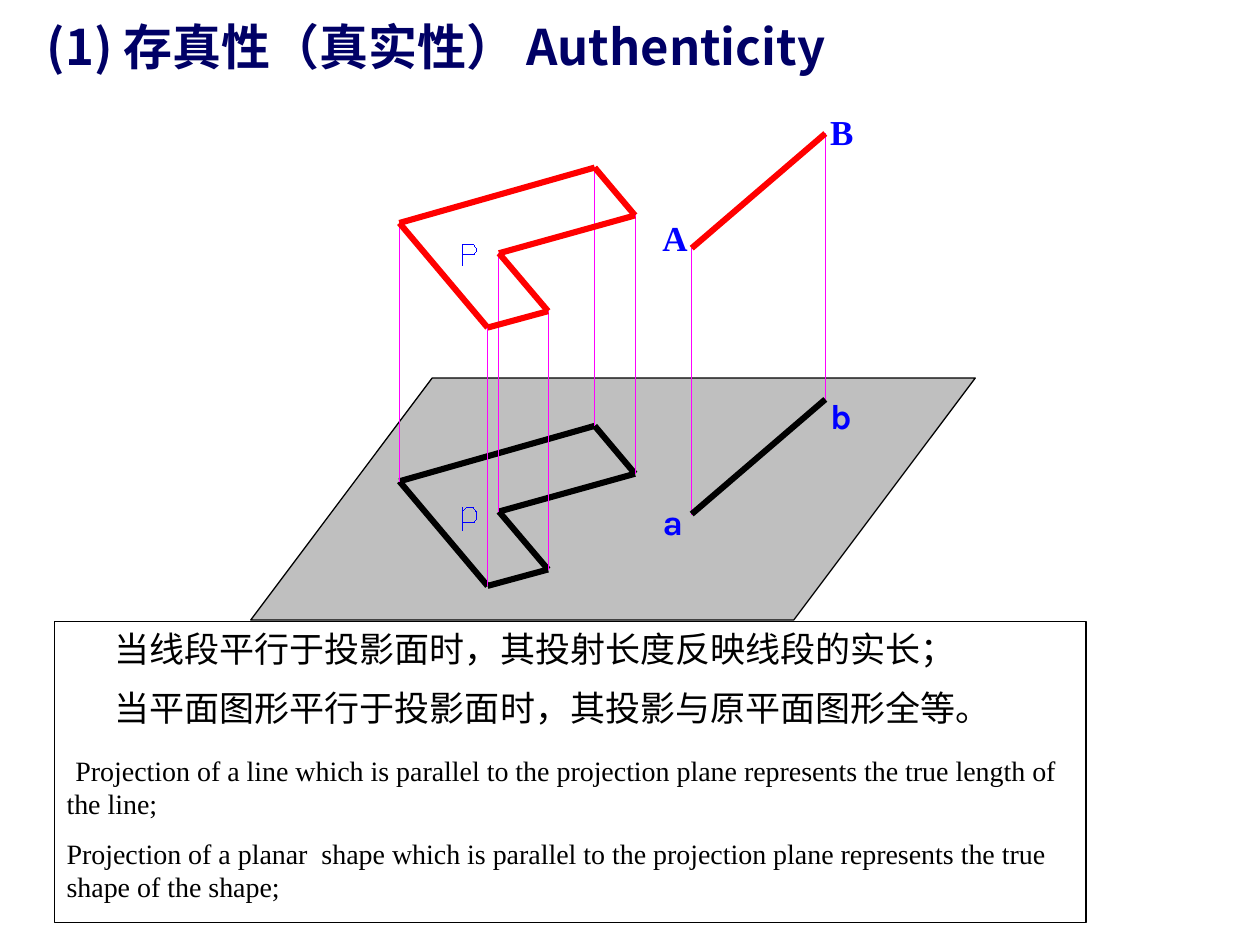
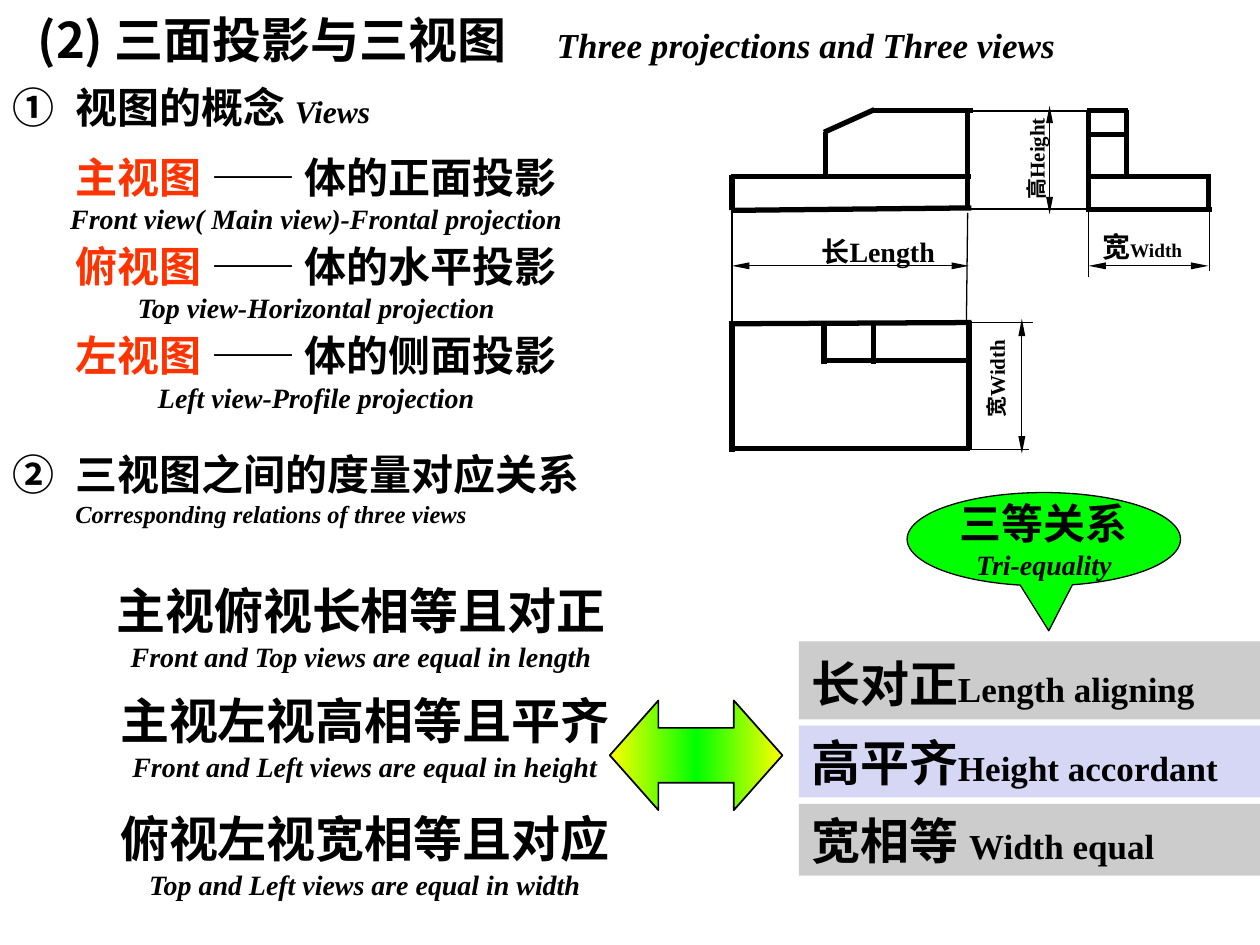
from copy import deepcopy
from typing import NamedTuple

from lxml.etree import SubElement as Sub
from pptx import Presentation
from pptx.dml.color import RGBColor
from pptx.enum.shapes import MSO_CONNECTOR as Conn, MSO_SHAPE as Kind
from pptx.enum.text import MSO_ANCHOR as Anchor, MSO_AUTO_SIZE as Fit, PP_ALIGN as Align
from pptx.oxml.ns import qn
from pptx.util import Inches, Pt

# Shared look
TIMES, NOTO, KARLA = "Times New Roman", "Noto Sans CJK SC", "Karla"
BLACK, WHITE, NAVY, BLUE = "000000", "FFFFFF", "000066", "0000FF"
RED, PINK, GREEN, YELLOW = "FF0000", "FF00FF", "00FF00", "FFFF00"
ORANGE, GREY, SILVER, LILAC = "FF3300", "BFBFBF", "CCCCCC", "D6D6F5"
BOLD, THIN, HAIR = 3, 0.75, 0
EDGE = 3.5


class Run(NamedTuple):
    text: str
    size: float
    face: str = TIMES
    color: str = BLACK
    bold: bool = True
    slant: bool = False


class Para(NamedTuple):
    runs: list[Run]
    center: bool = False
    before: float = 0
    indent: float = 0
    number: int = 0
    tab: float = 0
    leading: float = 0


class Box(NamedTuple):
    left: float
    top: float
    width: float
    height: float


class Seg(NamedTuple):
    x1: float
    y1: float
    x2: float
    y2: float


def rgb(color: str) -> RGBColor:
    return RGBColor.from_string(color)


def place(box: Box) -> list:
    return [Inches(v) for v in box]


def style(font, run: Run) -> None:
    font.size, font.name = Pt(run.size), run.face
    font.bold, font.italic = run.bold, run.slant
    font.color.rgb = rgb(run.color)


def set_line(shape, color: str, width: float) -> None:
    shape.line.color.rgb = rgb(color)
    shape.line.width = Pt(width)
    if not width:
        shape._element.spPr.find(qn("a:ln")).set("w", "0")


def write(shape, paras: list[Para], wrap: bool = True, mid: bool = False,
          grow: bool = True) -> None:
    frame = shape.text_frame
    frame.word_wrap = wrap
    frame.auto_size = Fit.SHAPE_TO_FIT_TEXT if grow else Fit.NONE
    frame.vertical_anchor = Anchor.MIDDLE if mid else Anchor.TOP
    for i, para in enumerate(paras):
        item = frame.add_paragraph() if i else frame.paragraphs[0]
        item.alignment = Align.CENTER if para.center else Align.LEFT
        props = item._p.get_or_add_pPr()
        if para.number:
            props.set("marL", str(Inches(0.5)))
            props.set("indent", str(-Inches(0.5)))
            Sub(props, qn("a:buFont"), typeface=NOTO)
            Sub(props, qn("a:buAutoNum"), type="circleNumDbPlain",
                startAt=str(para.number))
        if para.indent:
            props.set("indent", str(Inches(para.indent)))
        if para.tab:
            tabs = Sub(props, qn("a:tabLst"))
            Sub(tabs, qn("a:tab"), pos=str(Inches(para.tab)), algn="l")
        if para.before:
            item.space_before = Pt(para.before)
        if para.leading:
            item.line_spacing = para.leading
        for run in para.runs:
            if run.text.startswith("\n"):
                item.add_line_break()
            part = item.add_run()
            part.text = run.text.lstrip("\n")
            if len(para.runs) > 1:
                style(part.font, run)
        if len(para.runs) == 1:
            style(item.font, para.runs[0])
        for latin in list(item._p.iter(qn("a:latin"))):
            east = deepcopy(latin)
            east.tag = qn("a:ea")
            east.set("typeface", NOTO)
            latin.addnext(east)


def add_text(slide, box: Box, paras: list[Para], wrap: bool = True,
             mid: bool = False, grow: bool = True, turn: float = 0):
    shape = slide.shapes.add_textbox(*place(box))
    shape.rotation = turn
    write(shape, paras, wrap, mid, grow)
    return shape


def add_form(slide, kind, box: Box, fill: str, line: str = "",
             width: float = THIN, adjust: tuple = ()):
    shape = slide.shapes.add_shape(kind, *place(box))
    shape.shadow.inherit = False
    shape.fill.solid()
    shape.fill.fore_color.rgb = rgb(fill)
    if line:
        set_line(shape, line, width)
    else:
        shape.line.fill.background()
    for i, value in enumerate(adjust):
        shape.adjustments[i] = value
    return shape


def add_line(slide, seg: Seg, color: str, width: float, arrows: bool = False) -> None:
    link = slide.shapes.add_connector(Conn.STRAIGHT, *[Inches(v) for v in seg])
    set_line(link, color, width)
    props = link._element.spPr
    if arrows:
        for end in ("a:headEnd", "a:tailEnd"):
            Sub(props.find(qn("a:ln")), qn(end), type="triangle", w="sm", len="lg")
    Sub(props, qn("a:effectLst"))


def add_path(slide, spots: list[tuple[float, float]], color: str) -> None:
    first, *rest = [(Inches(x), Inches(y)) for x, y in spots]
    pen = slide.shapes.build_freeform(*first)
    pen.add_line_segments(rest, close=False)
    shape = pen.convert_to_shape()
    shape.shadow.inherit = False
    shape.fill.background()
    set_line(shape, color, HAIR)


def add_pair(slide, box: Box, head: list[Run], sub: str) -> None:
    """Chinese line with its English gloss below, centred."""
    add_text(slide, box, [Para(head, True), Para([Run(sub, 16, slant=True)], True)],
             wrap=False)


# Slide 1: a flat shape and a line above the projection plane
CORNERS = [(3.17, 1.77), (4.72, 1.33), (5.04, 1.71),
           (3.96, 2.01), (4.35, 2.47), (3.87, 2.6)]
DROP, FALL = 2.05, 2.11
A, B = (5.49, 1.97), (6.55, 1.06)
MARKS = [("A", TIMES, Box(5.16, 1.67, 0.5, 0.43)), ("B", TIMES, Box(6.49, 0.83, 0.5, 0.43)),
         ("a", KARLA, Box(5.16, 3.92, 0.42, 0.43)), ("b", KARLA, Box(6.49, 3.08, 0.38, 0.43))]
NOTES = [("当线段平行于投影面时，其投射长度反映线段的实长；", 20, 0, 0.38),
         ("当平面图形平行于投影面时，其投影与原平面图形全等。", 20, 10, 0.38),
         ("Projection of a line which is parallel to the projection plane represents "
          "the true length of the line;", 16, 14, 0.07),
         ("Projection of a planar  shape which is parallel to the projection plane "
          "represents the true shape of the shape;", 16, 9, 0)]


def add_ring(slide, color: str, shift: float) -> None:
    for (x1, y1), (x2, y2) in zip(CORNERS, CORNERS[1:] + CORNERS[:1]):
        add_line(slide, Seg(x1, y1 + shift, x2, y2 + shift), color, EDGE)


def draw_truth(slide) -> None:
    title = add_text(slide, Box(0.2, 0.13, 6.52, 0.47), [Para(
        [Run("(1) 存真性（真实性） Authenticity", 28, NOTO, NAVY)], True)], wrap=False)
    frame = title.text_frame
    frame.margin_left = frame.margin_right = frame.margin_top = frame.margin_bottom = 0

    add_form(slide, Kind.PARALLELOGRAM, Box(1.99, 3, 5.75, 1.92), GREY, BLACK,
             adjust=(0.75,))
    panel = add_form(slide, Kind.RECTANGLE, Box(0.43, 4.93, 8.19, 2.39), WHITE, BLACK)
    write(panel, [Para([Run(text, size, bold=False)], before=gap, indent=dent)
                  for text, size, gap, dent in NOTES])

    # Shape, its rays and its projection
    add_ring(slide, BLACK, DROP)
    for x, y in CORNERS:
        add_line(slide, Seg(x, y + DROP, x, y), PINK, HAIR)
    add_ring(slide, RED, 0)

    # Line AB, its rays and its projection
    for x, y in (A, B):
        add_line(slide, Seg(x, y + FALL, x, y), PINK, HAIR)
    for color, shift in ((BLACK, FALL), (RED, 0)):
        add_line(slide, Seg(A[0], A[1] + shift, B[0], B[1] + shift), color, EDGE)

    # Thin letters P and p, then point names
    add_path(slide, [(3.67, 2.11), (3.67, 1.94), (3.76, 1.94), (3.78, 1.97),
                     (3.78, 1.99), (3.76, 2.02), (3.67, 2.02)], BLUE)
    add_line(slide, Seg(3.67, 4.21, 3.67, 4.03), BLUE, HAIR)
    add_path(slide, [(3.67, 4.06), (3.7, 4.03), (3.76, 4.03), (3.78, 4.06),
                     (3.78, 4.12), (3.76, 4.15), (3.67, 4.15)], BLUE)
    for text, face, box in MARKS:
        add_text(slide, box, [Para([Run(text, 20, face, BLUE)])], wrap=text != "b")


# Slide 2: three views and how they match
VIEWS = [("主视图 ", "—— 体的正面投影", "Front view( Main view)-Frontal projection"),
         ("俯视图 ", "—— 体的水平投影", "Top view-Horizontal projection"),
         ("左视图 ", "—— 体的侧面投影", "Left view-Profile projection")]
RULES = [(0.79, 4.56, "主视俯视长相等且对正", "Front and Top views are equal in length"),
         (0.82, 5.43, "主视左视高相等且平齐", "Front and Left views are equal in height"),
         (0.82, 6.37, "俯视左视宽相等且对应", "Top and Left views are equal in width")]
BANDS = [(5.09, 0.62, SILVER, "长对正", "Length aligning"),
         (5.76, 0.57, LILAC, "高平齐", "Height accordant"),
         (6.38, 0.57, SILVER, "宽相等 ", "Width equal")]
FRONT = [Seg(7.71, 1.65, 5.8, 1.67), Seg(5.81, 1.67, 5.81, 1.39),
         Seg(7.68, 1.66, 7.68, 0.87), Seg(7.72, 0.88, 6.94, 0.88),
         Seg(6.55, 1.41, 6.55, 1.05), Seg(6.54, 1.05, 6.94, 0.87),
         Seg(5.8, 1.4, 7.71, 1.4)]
LEFT = [Seg(8.64, 1.65, 8.64, 0.87), Seg(9.59, 1.66, 9.59, 1.39),
        Seg(8.64, 1.4, 9.61, 1.4), Seg(8.62, 1.66, 9.62, 1.66),
        Seg(8.63, 0.88, 8.95, 0.88), Seg(8.64, 1.07, 8.96, 1.07),
        Seg(8.94, 0.87, 8.94, 1.39)]
TOP = [Seg(5.8, 3.56, 7.7, 3.56), Seg(5.8, 2.57, 7.71, 2.56),
       Seg(6.53, 2.86, 7.7, 2.86), Seg(5.81, 2.55, 5.81, 3.59),
       Seg(7.69, 2.55, 7.69, 3.57), Seg(6.54, 2.89, 6.54, 2.58),
       Seg(6.93, 2.56, 6.93, 2.89)]
GUIDES = [Seg(5.81, 1.67, 5.81, 2.64), Seg(7.68, 1.69, 7.67, 2.58),
          Seg(7.7, 1.66, 8.63, 1.66), Seg(7.67, 0.88, 8.65, 0.88),
          Seg(7.69, 2.56, 8.2, 2.56), Seg(7.66, 3.57, 8.17, 3.57),
          Seg(8.64, 2.2, 8.64, 1.65), Seg(9.6, 2.15, 9.6, 1.64)]
SPANS = [Seg(5.81, 2.11, 7.69, 2.11), Seg(8.33, 0.84, 8.33, 1.7),
         Seg(8.11, 2.53, 8.11, 3.6), Seg(8.64, 2.11, 9.59, 2.11)]
SIZES = [(Box(6.26, 1.81, 1.42, 0.37), 0, [Run("长Length", 16)]),
         (Box(7.8, 1.11, 0.85, 0.3), 270, [Run("高Height", 12)]),
         (Box(7.52, 2.72, 1.05, 0.57), 270, [Run("宽Width", 12)]),
         (Box(8.62, 1.77, 0.89, 0.37), 0, [Run("宽", 16), Run("Width", 11)])]


def draw_views(slide) -> None:
    # Title and numbered heads
    add_text(slide, Box(0.2, 0.02, 9.8, 0.58), [Para(
        [Run("(2) 三面投影与三视图", 28, NOTO),
         Run("\tThree projections and Three views", 20, slant=True)], tab=4.12)],
        mid=True, grow=False)
    add_text(slide, Box(0, 0.6, 5.71, 0.5), [Para(
        [Run("视图的概念 ", 24, NOTO), Run("Views", 18, slant=True)], number=1)])
    add_text(slide, Box(0, 3.51, 6.34, 0.73), [Para(
        [Run("三视图之间的度量对应关系", 24, NOTO),
         Run("\nCorresponding relations of three views", 14, slant=True)], number=2)])

    # Views and rules
    for i, (name, what, sub) in enumerate(VIEWS):
        add_pair(slide, Box(0.26, 1.15 + 0.71 * i, 4.5, 0.77),
                 [Run(name, 24, color=ORANGE), Run(what, 24)], sub)
    for left, top, head, sub in RULES:
        add_pair(slide, Box(left, top, 4.15, 0.84), [Run(head, 28)], sub)

    # Drawing with its sizes
    for seg in GUIDES:
        add_line(slide, seg, BLACK, THIN)
    for seg in SPANS:
        add_line(slide, seg, BLACK, THIN, arrows=True)
    for box, turn, runs in SIZES:
        add_text(slide, box, [Para(runs, True)], turn=turn)
    for seg in FRONT + LEFT + TOP:
        add_line(slide, seg, BLACK, BOLD)

    # Callout, bands and double arrow
    call = add_form(slide, Kind.OVAL_CALLOUT, Box(7.2, 3.91, 2.17, 0.74), GREEN, BLACK,
                    adjust=(0.018, 0.982))
    write(call, [Para([Run("三等关系", 24)], True),
                 Para([Run("Tri-equality", 16, slant=True)], True)],
          wrap=False, mid=True, grow=False)
    for i, (top, height, fill, head, sub) in enumerate(BANDS):
        band = add_form(slide, Kind.RECTANGLE, Box(6.34, top, 3.66, height), fill)
        write(band, [Para([Run(head, 28), Run(sub, 20)], leading=0 if i else 1.1)],
              mid=i > 0)
    arrow = add_form(slide, Kind.LEFT_RIGHT_ARROW, Box(4.84, 5.56, 1.37, 0.87), GREEN,
                     BLACK, 1, (0.5, 0.443))
    arrow.fill.gradient()
    arrow.fill.gradient_angle = 0
    stop = next(arrow._element.iter(qn("a:gs")))
    stop.addnext(deepcopy(stop))
    for stop, spot, color in zip(arrow.fill.gradient_stops, (0, 0.5, 1),
                                 (YELLOW, GREEN, YELLOW)):
        stop.position = spot
        stop.color.rgb = rgb(color)


def main() -> None:
    deck = Presentation()
    deck.slide_width, deck.slide_height = Inches(10), Inches(7.5)
    for draw in (draw_truth, draw_views):
        draw(deck.slides.add_slide(deck.slide_layouts[6]))
    deck.save("out.pptx")


if __name__ == "__main__":
    main()
